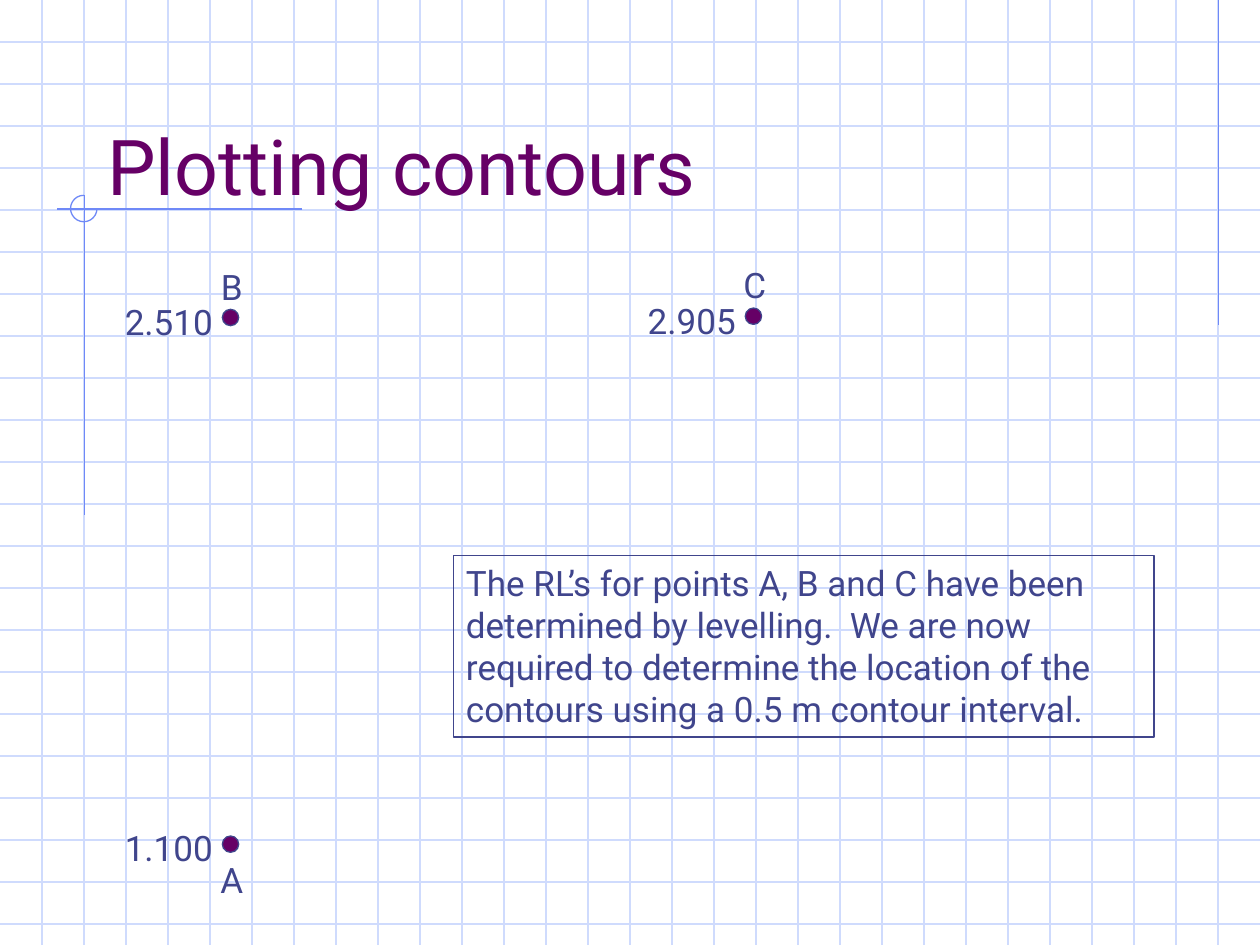
from pptx import Presentation
from pptx.dml.color import RGBColor
from pptx.enum.shapes import MSO_CONNECTOR, MSO_SHAPE
from pptx.enum.text import MSO_ANCHOR, PP_ALIGN
from pptx.oxml.ns import qn
from pptx.util import Inches, Pt
from lxml.etree import SubElement

# Content
TITLE = "Plotting contours"
NOTE = [
    "The RL’s for points A, B and C have been",
    "determined by levelling.  We are now",
    "required to determine the location of the",
    "contours using a 0.5 m contour interval.",
]
# name, level, dot centre x and y, name offset from the dot
POINTS = [
    ("A", "1.100", 1.83, 6.7, 0.28),
    ("B", "2.510", 1.83, 2.52, -0.25),
    ("C", "2.905", 5.98, 2.51, -0.25),
]
GUIDES = [(9.67, 0, 9.67, 2.58), (2.4, 1.66, 0.45, 1.66), (0.67, 1.55, 0.67, 4.09)]

THEME = {
    "font": "Roboto", "title": 44, "body": 20,
    "grid": RGBColor.from_string("CFDBFD"),
    "guide": RGBColor.from_string("6F89F7"),
    "accent": RGBColor.from_string("660066"),
    "text": RGBColor.from_string("40458C"),
}
WIDTH, HEIGHT = 10, 7.5
CELLS_PER_INCH = 3
DOT = 0.13
LABEL_H = 0.44


def box(x, y, w, h):
    return [Inches(v) for v in (x, y, w, h)]


def put_text(shape, lines, size=THEME["body"], color=THEME["text"],
             align=PP_ALIGN.LEFT, anchor=MSO_ANCHOR.MIDDLE, wrap=False):
    tf = shape.text_frame
    tf.word_wrap = wrap
    tf.vertical_anchor = anchor
    for i, line in enumerate(lines):
        p = tf.add_paragraph() if i else tf.paragraphs[0]
        p.alignment = align
        r = p.add_run()
        r.text = line
        r.font.name, r.font.size = THEME["font"], Pt(size)
        r.font.color.rgb = color


def add_line(s, x1, y1, x2, y2, color):
    line = s.shapes.add_connector(MSO_CONNECTOR.STRAIGHT, *box(x1, y1, x2, y2))
    line.line.color.rgb, line.line.width = color, Pt(0.75)
    SubElement(line.element.spPr, qn("a:effectLst"))


def add_shape(s, kind, x, y, w, h, line, fill=None, width=0.75):
    sp = s.shapes.add_shape(kind, *box(x, y, w, h))
    sp.shadow.inherit = False
    sp.line.color.rgb, sp.line.width = line, Pt(width)
    if fill is None:
        sp.fill.background()
    else:
        sp.fill.solid()
        sp.fill.fore_color.rgb = fill
    return sp


def add_label(s, text, cx, cy, w):
    tb = s.shapes.add_textbox(*box(cx - w / 2, cy - LABEL_H / 2, w, LABEL_H))
    put_text(tb, [text], align=PP_ALIGN.CENTER)


def main():
    prs = Presentation()
    prs.slide_width, prs.slide_height = Inches(WIDTH), Inches(HEIGHT)
    s = prs.slides.add_slide(prs.slide_layouts[5])

    # Graph paper
    for i in range(1, int(HEIGHT * CELLS_PER_INCH) + 1):
        y = i / CELLS_PER_INCH
        add_line(s, 0, y, WIDTH, y, THEME["grid"])
    for i in range(1, WIDTH * CELLS_PER_INCH):
        x = i / CELLS_PER_INCH
        add_line(s, x, 0, x, HEIGHT, THEME["grid"])

    # Guide lines and three-quarter circle where they cross
    for guide in GUIDES:
        add_line(s, *guide, THEME["guide"])
    arc = add_shape(s, MSO_SHAPE.ARC, 0.56, 1.55, 0.21, 0.21, THEME["guide"])
    arc.adjustments[0] = 0
    arc.adjustments[1] = 270 * 0.6  # 60000ths of a degree, in units of 100000

    # Survey points
    for name, level, x, y, offset in POINTS:
        add_shape(s, MSO_SHAPE.OVAL, x - DOT / 2, y - DOT / 2, DOT, DOT,
                  THEME["text"], fill=THEME["accent"])
        add_label(s, level, x - 0.49, y + 0.03, 0.91)
        add_label(s, name, x + 0.01, y + offset, 0.38)

    # Title, brought in front of the grid
    title = s.shapes.title
    title.left, title.top, title.width, title.height = box(0.75, 0.68, 8.5, 1.25)
    put_text(title, [TITLE], size=THEME["title"], color=THEME["accent"], wrap=True)
    title.element.getparent().append(title.element)

    # Note
    note = add_shape(s, MSO_SHAPE.RECTANGLE, 3.6, 4.41, 5.56, 1.44,
                     THEME["text"], width=1)
    put_text(note, NOTE, anchor=MSO_ANCHOR.TOP)

    prs.save("out.pptx")


if __name__ == "__main__":
    main()
